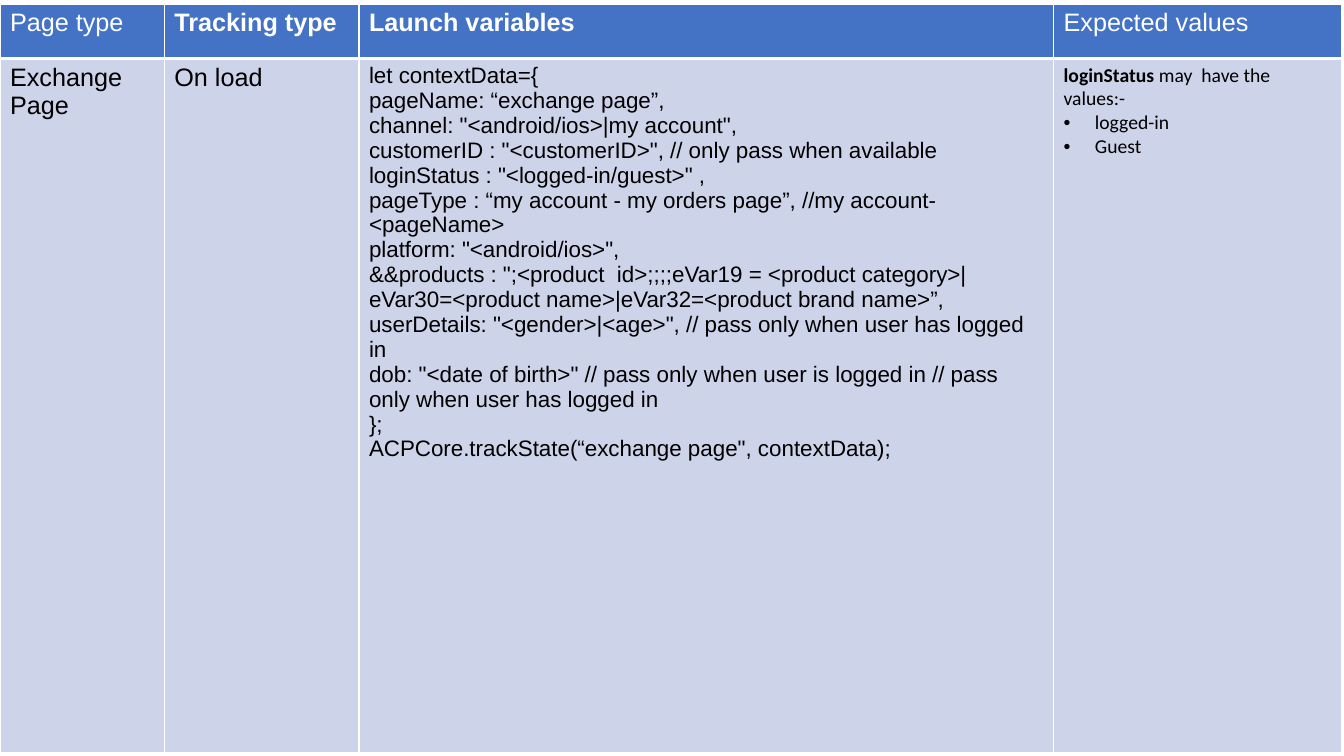
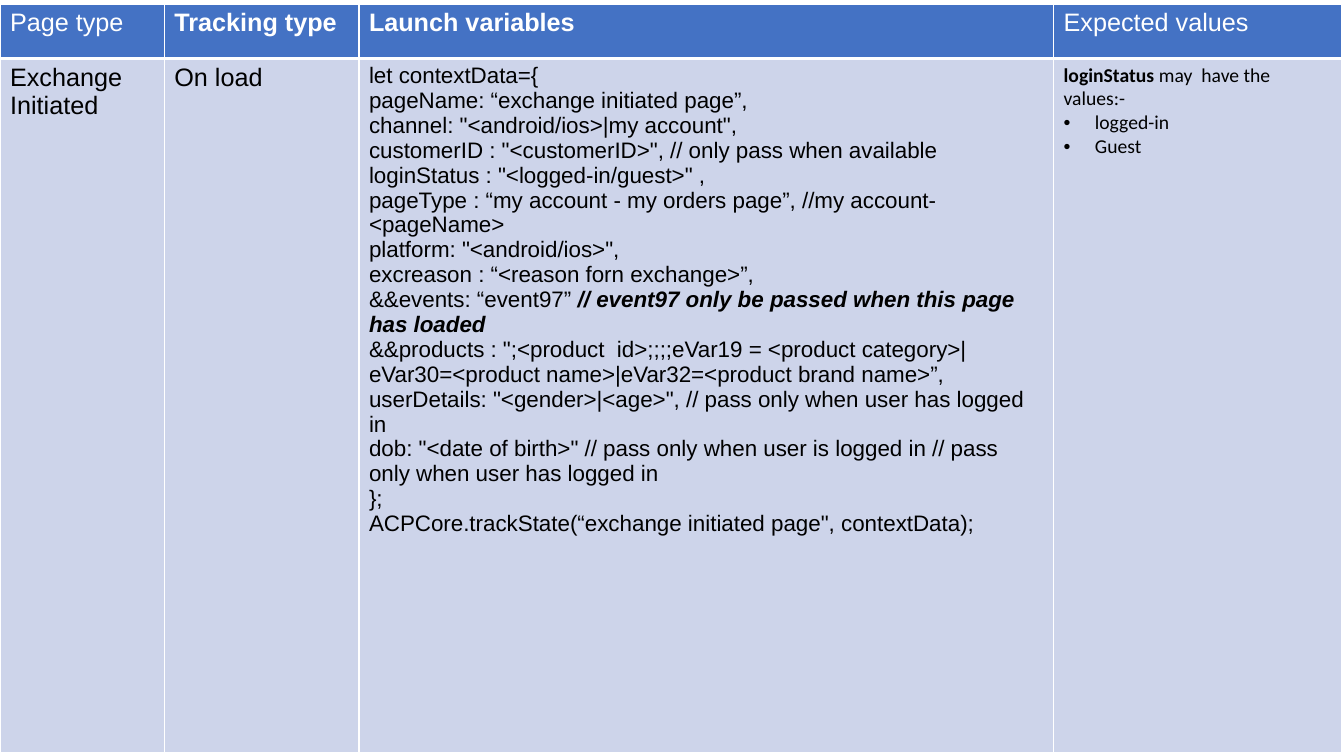
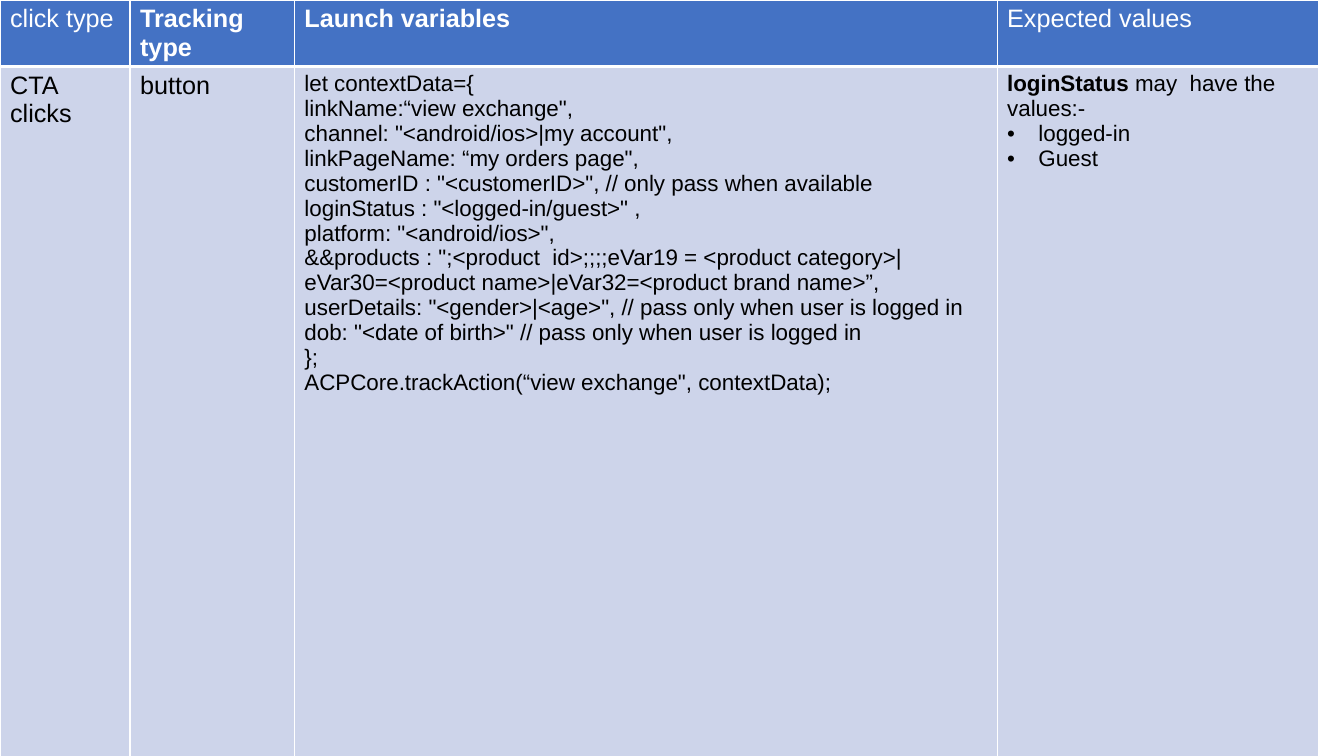
from pptx import Presentation, util as u
from pptx.dml.color import RGBColor
from pptx.oxml import parse_xml
from pptx.oxml.ns import nsdecls

# Theme: colours, fonts and type sizes
THEME = {
    "head": RGBColor(0x44, 0x72, 0xC4),
    "body": RGBColor(0xCD, 0xD4, 0xEA),
    "white": RGBColor(255, 255, 255),
    "black": RGBColor(0, 0, 0),
}
HEAD = {"name": "Arial", "size": u.Pt(18), "bold": False}
CELL = dict(HEAD)
CODE = {"name": "Arial", "size": u.Pt(16), "bold": False}
NOTE = {"name": "Calibri", "size": u.Pt(14), "bold": False}
BOLD = {"bold": True}
STRONG = {"bold": True, "italic": True}
THIN, THICK = 1, 3
INDENT = u.Inches(0.31)

# Code lines that slides share
OPEN = "let contextData={"
CHANNEL = 'channel: "<android/ios>|my account",'
LOGIN = [
    'customerID : "<customerID>", // only pass when available',
    'loginStatus : "<logged-in/guest>" ,',
]
TYPE = "pageType : “my account - my orders page”, //my account-<pageName>"
SYSTEM = 'platform: "<android/ios>",'
GOODS = ('&&products : ";<product  id>;;;;eVar19 = <product category>|'
         'eVar30=<product name>|eVar32=<product brand name>”,')
USER = 'userDetails: "<gender>|<age>", // pass only when user '
BIRTH = 'dob: "<date of birth>" // pass only when user is logged in'


def state(name, extra=()):
    """Code lines for a page that is tracked on load."""
    return [OPEN, f"pageName: “{name}”,", CHANNEL, *LOGIN, TYPE, SYSTEM,
            *extra, GOODS, USER + "has logged in",
            BIRTH + " // pass only when user has logged in", "};",
            f'ACPCore.trackState(“{name}", contextData);']


# Content
EVENT = [
    "excreason : “<reason forn exchange>”,",
    [("&&events: “event97” ", {}),
     ("// event97 only be passed when this page has loaded", STRONG)],
]
CLICK = [OPEN, 'linkName:“view exchange",', CHANNEL,
         'linkPageName: “my orders page",', *LOGIN, SYSTEM, GOODS,
         USER + "is logged in", BIRTH, "};",
         'ACPCore.trackAction(“view exchange", contextData);']
VALUES = [[("loginStatus ", BOLD), ("may  have the values:-", {})],
          "• logged-in", "• Guest"]
TITLES = ["Tracking type", "Launch variables", "Expected values"]

PAGE = {"top": 0.04, "cols": [1.63, 1.93, 6.89, 2.86], "rows": [0.54, 6.89],
        "kind": "Page type", "how": "On load", "note": NOTE}
ACTION = {"top": 0, "cols": [1.29, 1.63, 6.97, 3.19], "rows": [0.65, 6.89],
          "kind": "click type", "how": "button",
          "note": {**NOTE, "name": "Arial", "size": u.Pt(16)}}
SLIDES = [
    (PAGE, "Exchange Page", state("exchange page")),
    (PAGE, "Exchange Initiated", state("exchange initiated page", EVENT)),
    (ACTION, "CTA clicks", CLICK),
]


def bullet(para):
    props = para._p.get_or_add_pPr()
    props.set("marL", str(INDENT))
    props.set("indent", str(-INDENT))
    for tag in ('<a:buClr {}><a:srgbClr val="000000"/></a:buClr>',
                '<a:buFont {} typeface="Arial"/>',
                '<a:buChar {} char="•"/>'):
        props.append(parse_xml(tag.format(nsdecls("a"))))


def write(cell, lines, style, color):
    frame = cell.text_frame
    for i, line in enumerate(lines):
        para = frame.paragraphs[0] if i == 0 else frame.add_paragraph()
        if isinstance(line, str):
            if line.startswith("• "):
                bullet(para)
                line = line[2:]
            line = [(line, {})]
        for words, extra in line:
            run = para.add_run()
            run.text = words
            for key, val in {**style, **extra}.items():
                setattr(run.font, key, val)
            run.font.color.rgb = color


def border(cell, top, base):
    props = cell._tc.get_or_add_tcPr()
    sides = {"L": THIN, "R": THIN, "T": top, "B": base}
    for i, (side, width) in enumerate(sides.items()):
        props.insert(i, parse_xml(
            f'<a:ln{side} {nsdecls("a")} w="{u.Pt(width)}"><a:solidFill>'
            f'<a:srgbClr val="{THEME["white"]}"/></a:solidFill></a:ln{side}>'))


def build(deck, form, name, code):
    slide = deck.slides.add_slide(deck.slide_layouts[6])
    cols, rows = form["cols"], form["rows"]
    grid = slide.shapes.add_table(
        len(rows), len(cols), 0, u.Inches(form["top"]),
        u.Inches(sum(cols)), u.Inches(sum(rows))).table
    for col, width in zip(grid.columns, cols):
        col.width = u.Inches(width)
    for row, height in zip(grid.rows, rows):
        row.height = u.Inches(height)

    # Header row: the two middle titles are bold
    for i, title in enumerate([form["kind"], *TITLES]):
        cell = grid.cell(0, i)
        write(cell, [title], {**HEAD, "bold": i in (1, 2)}, THEME["white"])
        paint(cell, THEME["head"], THIN, THICK)

    # Body row
    parts = [([name], CELL), ([form["how"]], CELL),
             (code, CODE), (VALUES, form["note"])]
    for i, (lines, style) in enumerate(parts):
        cell = grid.cell(1, i)
        write(cell, lines, style, THEME["black"])
        paint(cell, THEME["body"], THICK, THIN)


def paint(cell, color, top, base):
    cell.fill.solid()
    cell.fill.fore_color.rgb = color
    border(cell, top, base)


def main():
    deck = Presentation()
    deck.slide_width, deck.slide_height = u.Inches(13.33), u.Inches(7.5)
    for form, name, code in SLIDES:
        build(deck, form, name, code)
    deck.save("out.pptx")


if __name__ == "__main__":
    main()
